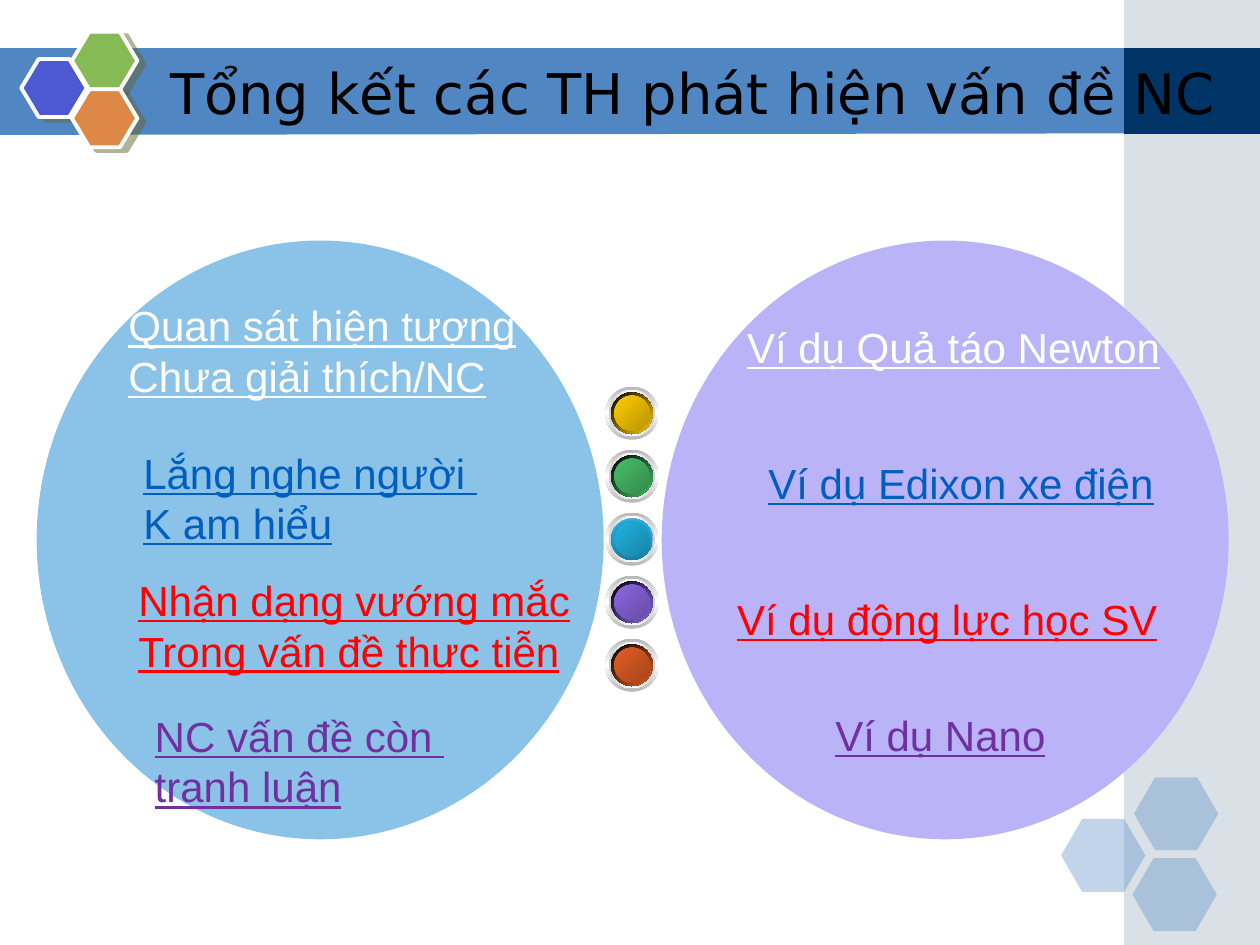
from lxml.etree import SubElement as Sub
from pptx import Presentation
from pptx.dml.color import RGBColor as Rgb
from pptx.enum.shapes import MSO_SHAPE as Kind
from pptx.enum.text import MSO_ANCHOR as Anchor, MSO_AUTO_SIZE as Auto
from pptx.oxml.ns import qn
from pptx.util import Cm, Pt

WHITE = Rgb(0xFF, 0xFF, 0xFF)
BLACK = Rgb(0x00, 0x00, 0x00)
STEEL = Rgb(0x50, 0x86, 0xC2)
NAVY = Rgb(0x00, 0x33, 0x66)
MIST = Rgb(0xA0, 0xB5, 0xC4)
INDIGO = Rgb(0x4C, 0x59, 0xD2)
DUSK = Rgb(0x3A, 0x44, 0xA1)
LEAF = Rgb(0x85, 0xBA, 0x54)
CLAY = Rgb(0xDE, 0x88, 0x48)
OLIVE = Rgb(0x66, 0x66, 0x33)
SKY = Rgb(0x8B, 0xC2, 0xE7)
LILAC = Rgb(0xBB, 0xB3, 0xF7)
BLUE = Rgb(0x00, 0x5E, 0xC0)
RED = Rgb(0xFF, 0x00, 0x00)
PURPLE = Rgb(0x70, 0x30, 0xA0)
GREY = Rgb(0xB6, 0xB6, 0xB6)
SILVER = Rgb(0xD1, 0xD1, 0xD1)
GOLD = Rgb(0xFF, 0xCC, 0x00)
BRASS = Rgb(0xBA, 0x95, 0x00)
GREEN = Rgb(0x48, 0xBE, 0x67)
MOSS = Rgb(0x35, 0x8B, 0x4B)
CYAN = Rgb(0x21, 0xB3, 0xE1)
TEAL = Rgb(0x18, 0x83, 0xA4)
DEEP = Rgb(0x18, 0x80, 0xA1)
VIOLET = Rgb(0x8D, 0x67, 0xE1)
PLUM = Rgb(0x67, 0x4B, 0xA4)
ORANGE = Rgb(0xE3, 0x5E, 0x23)
RUST = Rgb(0xA6, 0x45, 0x1A)


class Deck:
    font = "Arial"
    size = 24

    def __init__(self, slide):
        self.slide = slide
        self.shapes = slide.shapes

    def group(self):
        self.shapes = self.slide.shapes.add_group_shape().shapes

    def leave(self):
        self.shapes = self.slide.shapes

    def paint(self, shape, color, alpha=None):
        shape.shadow.inherit = False
        shape.line.fill.background()
        shape.fill.solid()
        shape.fill.fore_color.rgb = color
        if alpha:
            tint = shape._element.spPr.find(".//" + qn("a:srgbClr"))
            Sub(tint, qn("a:alpha"), val=str(alpha * 1000))
        return shape

    def shape(self, kind, box, color, alpha=None):
        item = self.shapes.add_shape(kind, *map(Cm, box))
        return self.paint(item, color, alpha)

    def outline(self, points, color):
        spots = [(Cm(x), Cm(y)) for x, y in points]
        pen = self.shapes.build_freeform(*spots[0])
        pen.add_line_segments(spots[1:], close=True)
        return self.paint(pen.convert_to_shape(), color)

    def hexagon(self, box, color, bend, alpha=None):
        item = self.shape(Kind.HEXAGON, box, color, alpha)
        item.adjustments[0] = bend
        return item

    def badge(self, box, color):
        item = self.hexagon(box, color, 0.3)
        item.line.color.rgb = WHITE
        item.line.width = Pt(2.25)
        effects = item._element.spPr.find(qn("a:effectLst"))
        cast = Sub(effects, qn("a:outerShdw"), blurRad="0", dist=str(Pt(4.5)),
                   dir=str(27 * 60000), algn="ctr", rotWithShape="0")
        tint = Sub(cast, qn("a:srgbClr"), val=str(OLIVE))
        Sub(tint, qn("a:alpha"), val="50000")

    def disc(self, mid, width, colors, angle):
        x, y = mid
        box = (x - width / 2, y - width / 2, width, width)
        item = self.shape(Kind.OVAL, box, colors[0])
        item.fill.gradient()
        item.fill.gradient_angle = (360 - angle) % 360
        stops = item._element.spPr.find(".//" + qn("a:gsLst"))
        for stop in list(stops):
            stops.remove(stop)
        for spot, color in enumerate(colors):
            place = 100000 * spot // (len(colors) - 1)
            stop = Sub(stops, qn("a:gs"), pos=str(place))
            Sub(stop, qn("a:srgbClr"), val=str(color))

    def button(self, mid, face, shade, edge, turn):
        self.group()
        self.disc(mid, 1.07, (GREY, WHITE, GREY), 90)
        self.disc(mid, 0.94, (SILVER, WHITE, SILVER), 0)
        self.disc(mid, 0.84, (WHITE, INDIGO, WHITE), 45)
        self.disc(mid, 0.84, edge, turn)
        self.disc(mid, 0.71, (DUSK, INDIGO, DUSK), 315)
        self.disc(mid, 0.71, (face, shade), 45)
        self.leave()

    def words(self, frame, lines, color, font, size, under):
        for row, line in enumerate(lines):
            para = frame.add_paragraph() if row else frame.paragraphs[0]
            run = para.add_run()
            run.text = line
            run.font.name = font
            run.font.size = Pt(size)
            run.font.color.rgb = color
            run.font.underline = under

    def title(self, box, text):
        frame = self.shapes.add_textbox(*map(Cm, box)).text_frame
        frame.word_wrap = True
        frame.vertical_anchor = Anchor.MIDDLE
        self.words(frame, [text], BLACK, "DejaVu Sans", 32, False)

    def label(self, left, top, width, color, *lines):
        tall = 0.23 + 1.04 * len(lines)
        box = (left, top, width, tall)
        frame = self.shapes.add_textbox(*map(Cm, box)).text_frame
        frame.word_wrap = False
        frame.auto_size = Auto.SHAPE_TO_FIT_TEXT
        self.words(frame, lines, color, self.font, self.size, True)


def main():
    show = Presentation()
    show.slide_width, show.slide_height = Cm(25.4), Cm(19.05)
    deck = Deck(show.slides.add_slide(show.slide_layouts[6]))

    deck.outline([(-0.03, 0.97), (22.73, 0.97), (22.73, 2.69), (-0.03, 2.72)], STEEL)
    deck.shape(Kind.RECTANGLE, (22.66, 0, 2.74, 19.05), MIST, 40)
    deck.shape(Kind.RECTANGLE, (22.66, 0.97, 2.74, 1.73), NAVY)
    for left, top in ((21.39, 16.51), (22.86, 15.67), (22.83, 17.3)):
        deck.hexagon((left, top, 1.7, 1.47), STEEL, 0.29, 35)
    deck.group()
    for left, top, color in ((0.43, 1.19, INDIGO), (1.45, 0.64, LEAF), (1.45, 1.8, CLAY)):
        deck.badge((left, top, 1.32, 1.17), color)
    deck.leave()

    for left, color in ((13.34, LILAC), (0.74, SKY)):
        deck.shape(Kind.OVAL, (left, 4.85, 11.43, 12.07), color)

    deck.label(14.81, 6.35, 8.92, WHITE, "Ví dụ Quả táo Newton")
    deck.label(15.24, 9.09, 8.36, BLUE, "Ví dụ Edixon xe điện")
    deck.label(14.61, 11.84, 9.07, RED, "Ví dụ động lực học SV")
    deck.label(16.59, 14.17, 4.8, PURPLE, "Ví dụ Nano")
    deck.label(2.34, 5.92, 8.41, WHITE, "Quan sát hiện tượng", "Chưa giải thích/NC")
    deck.label(2.64, 8.89, 7.32, BLUE, "Lắng nghe người ", "K am hiểu")
    deck.label(2.54, 11.46, 9.3, RED, "Nhận dạng vướng mắc", "Trong vấn đề thực tiễn")
    deck.title((3.18, 1.07, 22.22, 1.57), "Tổng kết các TH phát hiện vấn đề NC")

    looks = (
        (GOLD, BRASS, (BLACK, GOLD), 45),
        (GREEN, MOSS, (BLACK, GREEN), 45),
        (CYAN, TEAL, (CYAN, DEEP), 90),
        (VIOLET, PLUM, (BLACK, VIOLET), 45),
        (ORANGE, RUST, (BLACK, ORANGE), 45),
    )
    for row, look in enumerate(looks):
        deck.button((12.74, 8.33 + 1.27 * row), *look)
    deck.label(2.87, 14.2, 6.4, PURPLE, "NC vấn đề còn ", "tranh luận")

    show.save("out.pptx")


if __name__ == "__main__":
    main()
